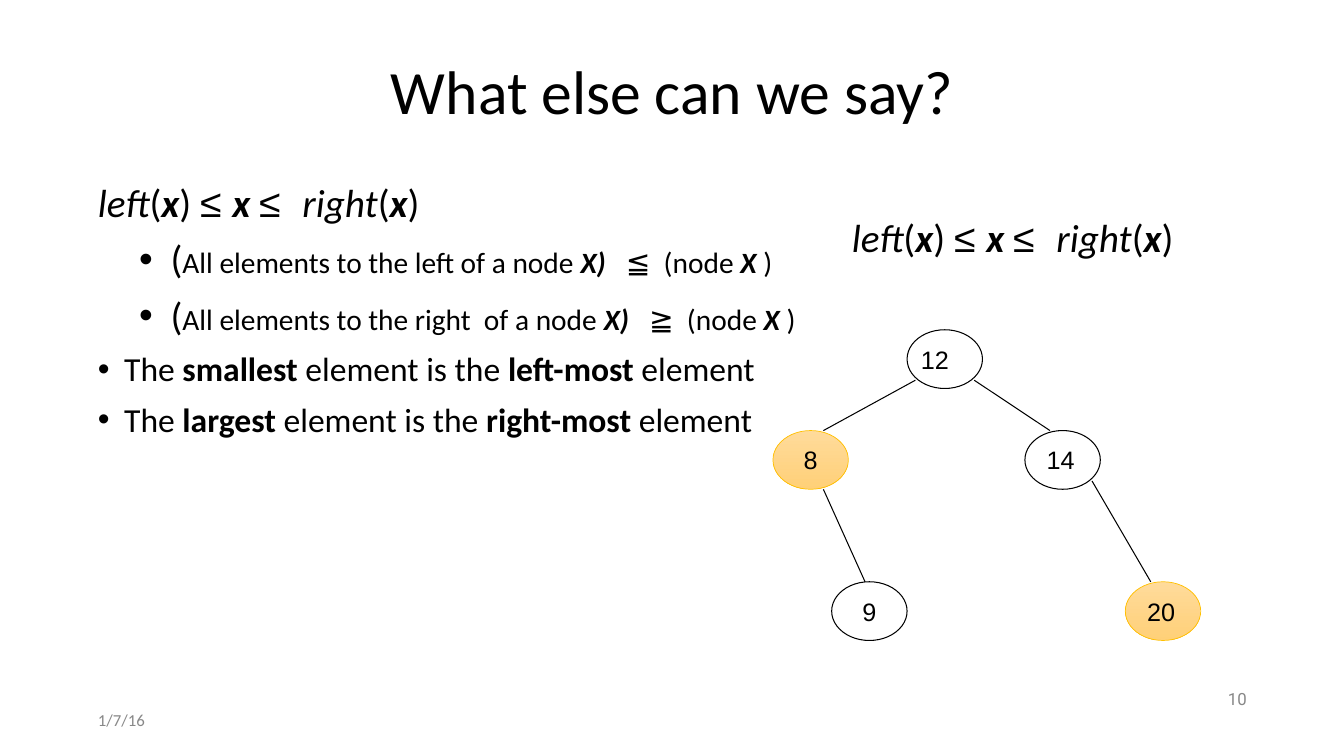
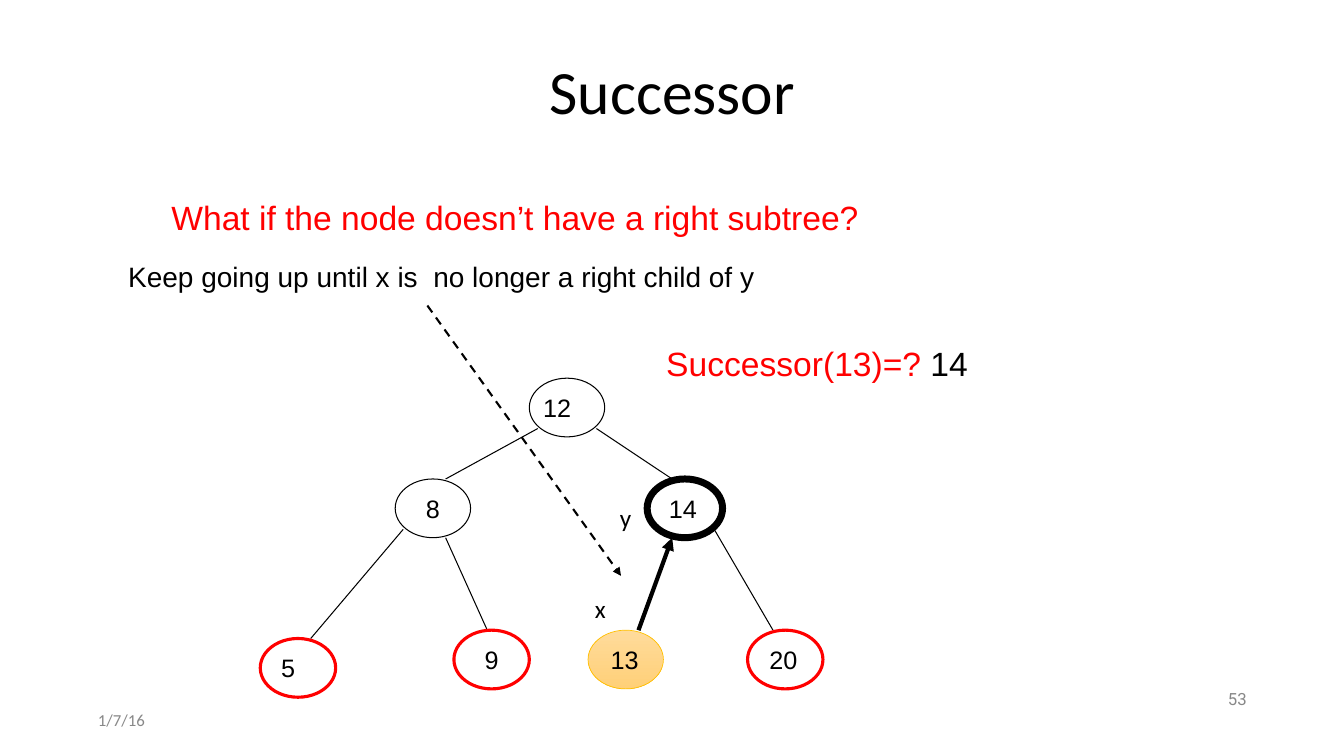
from lxml import etree
from pptx import Presentation
from pptx.dml.color import RGBColor
from pptx.enum.dml import MSO_LINE
from pptx.enum.shapes import MSO_CONNECTOR, MSO_SHAPE
from pptx.enum.text import MSO_ANCHOR, PP_ALIGN
from pptx.oxml.ns import qn
from pptx.util import Cm, Pt

OVAL = MSO_SHAPE.OVAL
STRAIGHT = MSO_CONNECTOR.STRAIGHT
DASH = MSO_LINE.DASH
TOP, MIDDLE = MSO_ANCHOR.TOP, MSO_ANCHOR.MIDDLE
LEFT, CENTER, RIGHT = PP_ALIGN.LEFT, PP_ALIGN.CENTER, PP_ALIGN.RIGHT

BLACK, RED, GRAY, GOLD = "000000", "FF0000", "888888", "FFC000"
GLOW = ("FFDB9B", "FFD078")
PAD = 0.13
WIDE, HIGH = 1.9, 1.48

STYLES = {
    "title": (44, "Calibri", "", BLACK),
    "big": (28, "Calibri", "", BLACK),
    "fun": (28, "Calibri", "i", BLACK),
    "var": (28, "Calibri", "bi", BLACK),
    "sign": (28, "Arial", "", BLACK),
    "sub": (21, "Calibri", "", BLACK),
    "subvar": (21, "Calibri", "bi", BLACK),
    "body": (24, "Calibri", "", BLACK),
    "bold": (24, "Calibri", "b", BLACK),
    "date": (12, "Calibri", "", GRAY),
    "page": (12, "Roboto", "", GRAY),
    "node": (18, "Arial", "", BLACK),
    "mark": (18, "Calibri", "", BLACK),
    "ask": (24, "Arial", "", RED),
    "reply": (24, "Arial", "", BLACK),
    "note": (20, "Arial", "", BLACK),
}


def write(frame, rows, align=LEFT, anchor=TOP, space=1.0, pads=(PAD,) * 4):
    frame.word_wrap = True
    frame.vertical_anchor = anchor
    (frame.margin_left, frame.margin_top,
     frame.margin_right, frame.margin_bottom) = [Cm(pad) for pad in pads]
    for i, (indent, runs) in enumerate(rows):
        par = frame.add_paragraph() if i else frame.paragraphs[0]
        par.alignment = align
        par.line_spacing = space
        par.space_before = Pt(10 if i else 0)
        if indent:
            left, hang = indent
            props = par._p.get_or_add_pPr()
            props.set("marL", str(Cm(left)))
            props.set("indent", str(-Cm(hang)))
            etree.SubElement(props, qn("a:buFont")).set("typeface", "Arial")
            etree.SubElement(props, qn("a:buChar")).set("char", "•")
        for text, style in runs:
            size, name, look, color = STYLES[style]
            run = par.add_run()
            run.text = text
            run.font.size = Pt(size)
            run.font.name = name
            run.font.bold = "b" in look
            run.font.italic = "i" in look
            run.font.color.rgb = RGBColor.from_string(color)


def plain(text, style):
    return [(None, [(text, style)])]


FLUSH, DEEP = (0.66, 0.66), (1.83, 0.79)
ORDER = (None, [
    ("left", "fun"), ("(", "big"), ("x", "var"), (") ", "big"),
    ("≤ ", "sign"), ("x ", "var"), ("≤  ", "sign"),
    ("right", "fun"), ("(", "big"), ("x", "var"), (")", "big"),
])
SIDES = [
    (DEEP, [
        ("(", "big"), (f"All elements to the {side} of a node ", "sub"),
        ("X)  ", "subvar"), (f" {sign}  (node ", "sub"),
        ("X ", "subvar"), (")", "sub"),
    ])
    for side, sign in (("left", "≦"), ("right ", "≧"))
]
ENDS = [
    (FLUSH, [
        ("The ", "body"), (size, "bold"), (" element is the ", "body"),
        (f"{side}-most", "bold"), (" element", "body"),
    ])
    for size, side in (("smallest", "left"), ("largest", "right"))
]

NODES = [
    ("12", 0, 0, 0.5),
    ("8", -3.38, 2.54, 0),
    ("9", -1.9, 6.35, 0),
    ("14", 2.97, 2.54, 0.1),
    ("20", 5.5, 6.35, 0.1),
]
EDGES = [
    (0.21, 1.27, -2.11, 2.54),
    (-2.11, 4.02, -1.06, 6.35),
    (1.69, 1.27, 3.6, 2.54),
    (4.66, 3.81, 6.14, 6.35),
]
EDGES = [(ends, 0.75, False, False) for ends in EDGES]

PAGES = [
    {
        "title": "What else can we say?",
        "page": "10",
        "root": (22.86, 8.31),
        "nodes": NODES,
        "edges": EDGES,
        "gold": ("8", "20"),
        "rims": {},
        "texts": [
            ((2.34, 4.5, 29.21, 12.57), 0.9, [ORDER] + SIDES + ENDS),
            ((21.34, 5.38, 9.5, 1.52), 0.9, [ORDER]),
        ],
    },
    {
        "title": "Successor",
        "page": "53",
        "root": (13.34, 9.53),
        "nodes": NODES + [("13", 1.48, 6.35, 0.05), ("5", -6.78, 6.56, 0.5)],
        "edges": EDGES + [
            ((-3.18, 3.81, -5.51, 6.56), 0.75, False, False),
            ((2.75, 6.35, 3.6, 4.02), 3, False, True),
            ((-2.57, -1.83, 2.31, 4.98), 1.5, True, True),
        ],
        "gold": ("13",),
        "rims": {
            "14": (BLACK, 5),
            "5": (RED, 2.25),
            "9": (RED, 2.25),
            "20": (RED, 2.25),
        },
        "texts": [
            ((4.19, 4.83, 19.35, 1.22), 1.0,
             plain("What if the node doesn’t have a right subtree?", "ask")),
            ((3.1, 6.4, 18.03, 1.04), 1.0,
             plain("Keep going up until x is  no longer a right child of y", "note")),
            ((16.66, 8.51, 8.5, 1.22), 1.0,
             [(None, [("Successor(13)=? ", "ask"), ("14", "reply")])]),
            ((14.86, 14.81, 1, 1.04), 1.0, plain("x", "mark")),
            ((15.49, 12.52, 1, 1.04), 1.0, plain("y", "mark")),
        ],
    },
]

deck = Presentation()
deck.slide_width = Cm(33.87)
deck.slide_height = Cm(19.05)

for page in PAGES:
    slide = deck.slides.add_slide(deck.slide_layouts[5])
    shapes = slide.shapes
    title = shapes.title
    title.left, title.top, title.width, title.height = [
        Cm(n) for n in (2.34, 1.02, 29.21, 2.72)]
    write(title.text_frame, plain(page["title"], "title"), CENTER, MIDDLE, 0.9)

    for box, align, space, text, style in (
        ((2.34, 17.78, 7.62, 0.74), LEFT, 1.0, "1/7/16", "date"),
        ((23.93, 17.27, 7.62, 0.74), RIGHT, 0.9, page["page"], "page"),
    ):
        label = shapes.add_textbox(*[Cm(n) for n in box])
        write(label.text_frame, plain(text, style), align, MIDDLE, space)

    for box, space, rows in page["texts"]:
        label = shapes.add_textbox(*[Cm(n) for n in box])
        write(label.text_frame, rows, space=space)

    x, y = page["root"]
    for (ax, ay, bx, by), width, dashed, arrow in page["edges"]:
        edge = shapes.add_connector(
            STRAIGHT, Cm(x + ax), Cm(y + ay), Cm(x + bx), Cm(y + by))
        edge.line.width = Pt(width)
        edge.line.color.rgb = RGBColor.from_string(BLACK)
        if dashed:
            edge.line.dash_style = DASH
        if arrow:
            tip = etree.SubElement(edge.line._get_or_add_ln(), qn("a:tailEnd"))
            tip.set("type", "triangle")
        etree.SubElement(edge._element.spPr, qn("a:effectLst"))

    for text, dx, dy, shift in page["nodes"]:
        node = shapes.add_shape(OVAL, Cm(x + dx), Cm(y + dy), Cm(WIDE), Cm(HIGH))
        node.shadow.inherit = False
        color, width = page["rims"].get(text, (BLACK, 0.75))
        if text in page["gold"]:
            color, width = GOLD, 0.5
            node.fill.gradient()
            node.fill.gradient_angle = 270
            for stop, tint in zip(node.fill.gradient_stops, GLOW):
                stop.color.rgb = RGBColor.from_string(tint)
        else:
            node.fill.background()
        node.line.color.rgb = RGBColor.from_string(color)
        node.line.width = Pt(width)
        write(node.text_frame, plain(text, "node"), CENTER, MIDDLE,
              pads=(0, 0, shift, 0))

deck.save("out.pptx")
